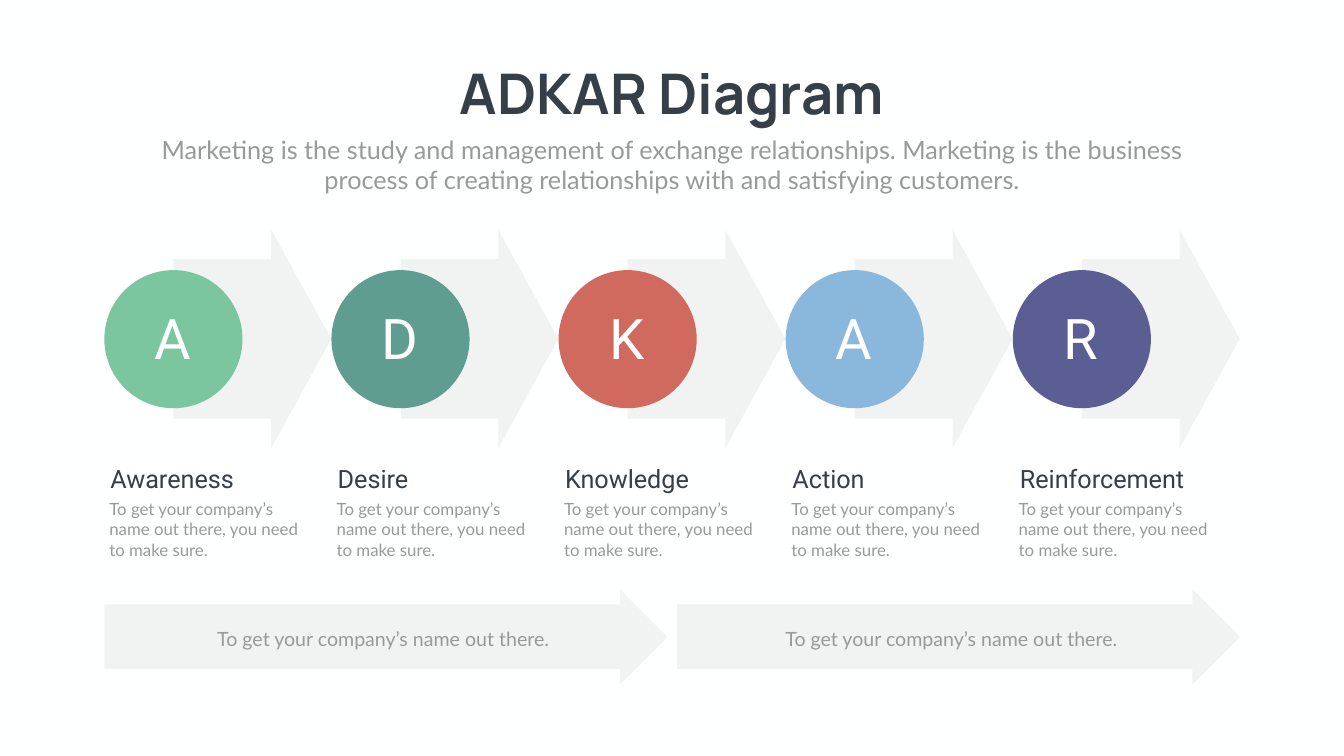
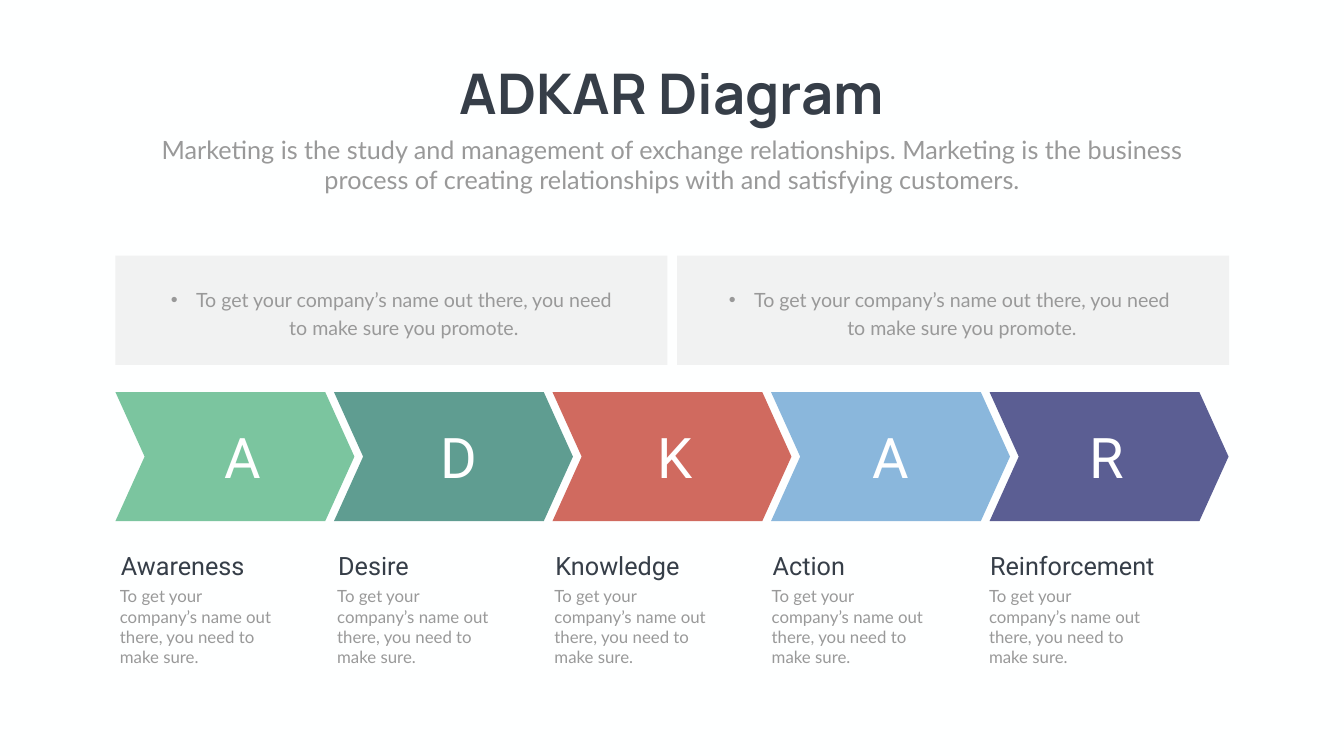
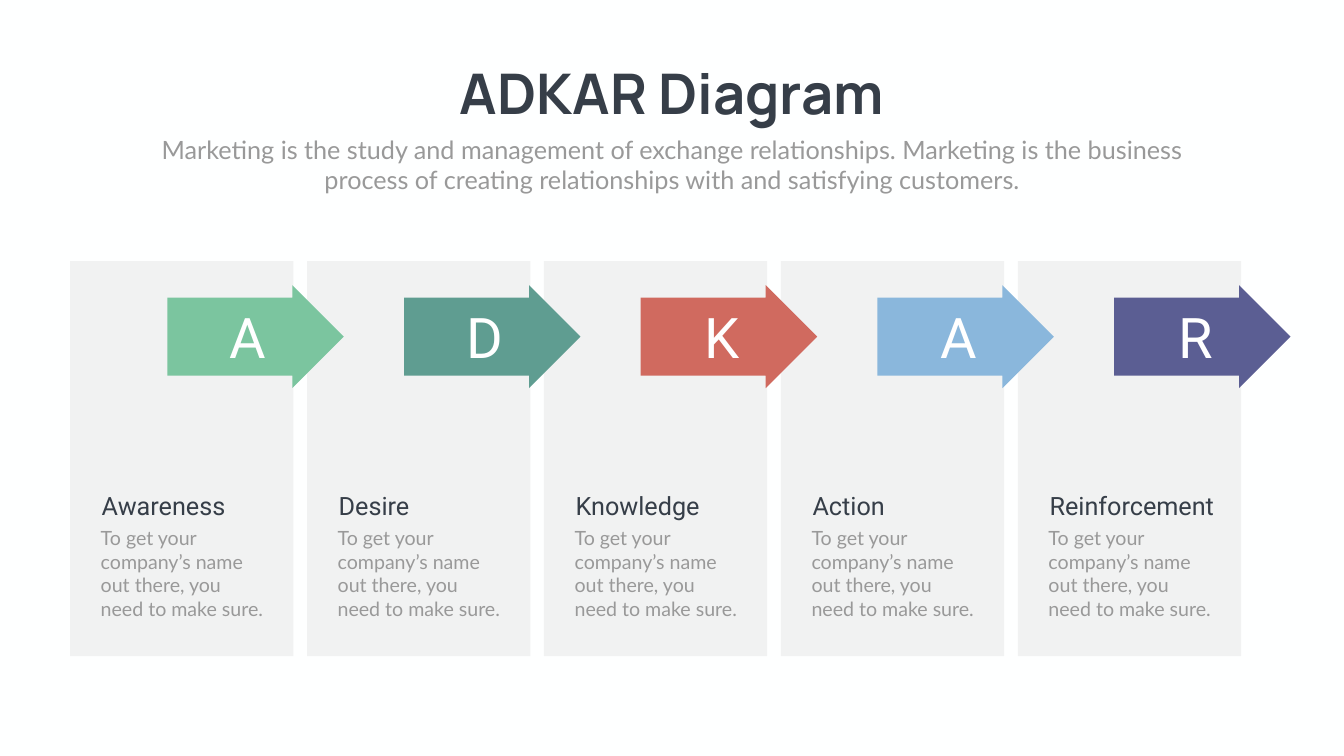
from lxml.etree import SubElement as sub
from pptx import Presentation
from pptx.dml.color import RGBColor as RGB
from pptx.enum.shapes import MSO_SHAPE as Kind
from pptx.enum.text import MSO_AUTO_SIZE as Auto, PP_ALIGN as Align
from pptx.oxml.ns import qn
from pptx.util import Inches, Pt

# Shared colours, fonts and wording
PAPER = RGB(0xFE, 0xFF, 0xFF)
WHITE = RGB(0xFF, 0xFF, 0xFF)
DARK = RGB(0x36, 0x3E, 0x48)
GREY = RGB(0x99, 0x99, 0x99)
SHADE = RGB(0x80, 0x80, 0x80)
GREEN = RGB(0x7B, 0xC5, 0x9F)
TEAL = RGB(0x5F, 0x9D, 0x91)
RED = RGB(0xD0, 0x6A, 0x5F)
BLUE = RGB(0x8A, 0xB7, 0xDC)
PURPLE = RGB(0x5B, 0x5E, 0x93)
HEAD, BODY, TITLE = "Roboto", "Lato", "Manrope"

# Name, colour and heading width of each step
STEPS = [
    ("Awareness", GREEN, 3.26),
    ("Desire", TEAL, 3.26),
    ("Knowledge", RED, 3.26),
    ("Action", BLUE, 3.26),
    ("Reinforcement", PURPLE, 4.04),
]
INTRO = ("Marketing is the study and management of exchange relationships. "
         "Marketing is the business process of creating relationships with "
         "and satisfying customers.")
SHORT = "To get your company’s name out there"
NOTE = SHORT + ", you need to make sure."
POINT = SHORT + ", you need to make sure you promote."


def add_text(slide, text, x, y, w, h, size=28, font=BODY, color=GREY,
             bold=False, center=False, wrap=True, bullet=False, pitch=None):
    box = slide.shapes.add_textbox(Inches(x), Inches(y), Inches(w), Inches(h))
    frame = box.text_frame
    frame.word_wrap = wrap
    frame.auto_size = Auto.SHAPE_TO_FIT_TEXT
    para = frame.paragraphs[0]
    run = para.add_run()
    run.text = text
    para.alignment = Align.CENTER if center else Align.LEFT
    if bullet:
        props = para._p.get_or_add_pPr()
        props.set("marL", str(Inches(0.5)))
        props.set("indent", str(Inches(-0.5)))
        sub(props, qn("a:buFont")).set("typeface", "Arial")
        sub(props, qn("a:buChar")).set("char", "•")
    if pitch:
        para.line_spacing = Pt(pitch)
    run.font.size = Pt(size)
    run.font.name = font
    run.font.bold = bold
    run.font.color.rgb = color


def add_form(slide, kind, x, y, w, h, color=SHADE, adjust=()):
    form = slide.shapes.add_shape(kind, Inches(x), Inches(y),
                                  Inches(w), Inches(h))
    form.shadow.inherit = False
    form.line.fill.background()
    form.fill.solid()
    form.fill.fore_color.rgb = color
    for i, value in enumerate(adjust):
        form.adjustments[i] = value
    if color == SHADE:  # pale panels are 10% opaque
        tone = form.element.spPr.find(".//" + qn("a:srgbClr"))
        sub(tone, qn("a:alpha")).set("val", "10000")


def add_slide(deck):
    slide = deck.slides.add_slide(deck.slide_layouts[6])
    add_text(slide, "ADKAR Diagram", 8.59, 1.12, 9.48, 1.45, size=80,
             font=TITLE, color=DARK, bold=True, center=True, wrap=False)
    add_text(slide, INTRO, 2.92, 2.61, 20.82, 1.31, size=36, center=True)
    return slide


def add_marks(slide, x, y, step):
    """Big initials of the steps."""
    for i, (name, _, _) in enumerate(STEPS):
        add_text(slide, name[0], x + i * step, y, 1.49, 1.45, size=80,
                 font=HEAD, color=WHITE, center=True)


def add_notes(slide, x, y, step, w, h, size=24):
    """Heading and short note of each step."""
    for i, (name, _, wide) in enumerate(STEPS):
        left = x + i * step
        add_text(slide, NOTE, left, y + 0.71, w, h, size=size)
        add_text(slide, name, left + 0.02, y, wide, 0.71, size=36,
                 font=HEAD, color=DARK)


def draw_circles(deck):
    slide = add_slide(deck)
    for i, (_, color, _) in enumerate(STEPS):
        x = 2.07 + i * 4.505
        add_form(slide, Kind.RIGHT_ARROW, x + 1.37, 4.56, 3.13, 4.33,
                 adjust=(0.73, 0.38))
        add_form(slide, Kind.OVAL, x, 5.36, 2.74, 2.74, color)
    add_marks(slide, 2.69, 5.97, 4.5)
    add_notes(slide, 2.07, 9.14, 4.51, 4.04, 1.31)
    # Two long arrows below
    for i in range(2):
        add_form(slide, Kind.RIGHT_ARROW, 2.07 + i * 11.36, 11.69, 11.17, 1.89,
                 adjust=(0.68, 0.5))
        add_text(slide, SHORT + ".", 4.15 + i * 11.27, 12.39, 6.9, 0.57,
                 center=True)


def draw_chevrons(deck):
    slide = add_slide(deck)
    for i, (_, color, _) in enumerate(STEPS):
        add_form(slide, Kind.CHEVRON, 2.29 + i * 4.335, 7.78, 4.74, 2.56,
                 color, adjust=(0.226,))
    # Two panels above
    for i in range(2):
        add_form(slide, Kind.RECTANGLE, 2.29 + i * 11.14, 5.07, 10.95, 2.17)
        add_text(slide, POINT, 3.27 + i * 11.07, 5.56, 8.98, 1.19,
                 center=True, bullet=True, pitch=40.8)
    add_notes(slide, 2.28, 10.87, 4.31, 3.26, 1.72)
    add_marks(slide, 4.08, 8.34, 4.28)


def draw_columns(deck):
    slide = add_slide(deck)
    for i in range(len(STEPS)):
        add_form(slide, Kind.RECTANGLE, 1.39 + i * 4.7, 5.18, 4.43, 7.84)
    for i, (_, color, _) in enumerate(STEPS):
        add_form(slide, Kind.RIGHT_ARROW, 3.32 + i * 4.695, 5.66, 3.5, 2.04,
                 color, adjust=(0.757, 0.5))
    add_notes(slide, 1.9, 9.68, 4.7, 3.5, 1.99, size=28)
    add_marks(slide, 4.17, 5.96, 4.7)


def main():
    deck = Presentation()
    deck.slide_width, deck.slide_height = Inches(26.66), Inches(15)
    back = deck.slide_master.background.fill
    back.solid()
    back.fore_color.rgb = PAPER
    draw_circles(deck)
    draw_chevrons(deck)
    draw_columns(deck)
    deck.save("out.pptx")


if __name__ == "__main__":
    main()
